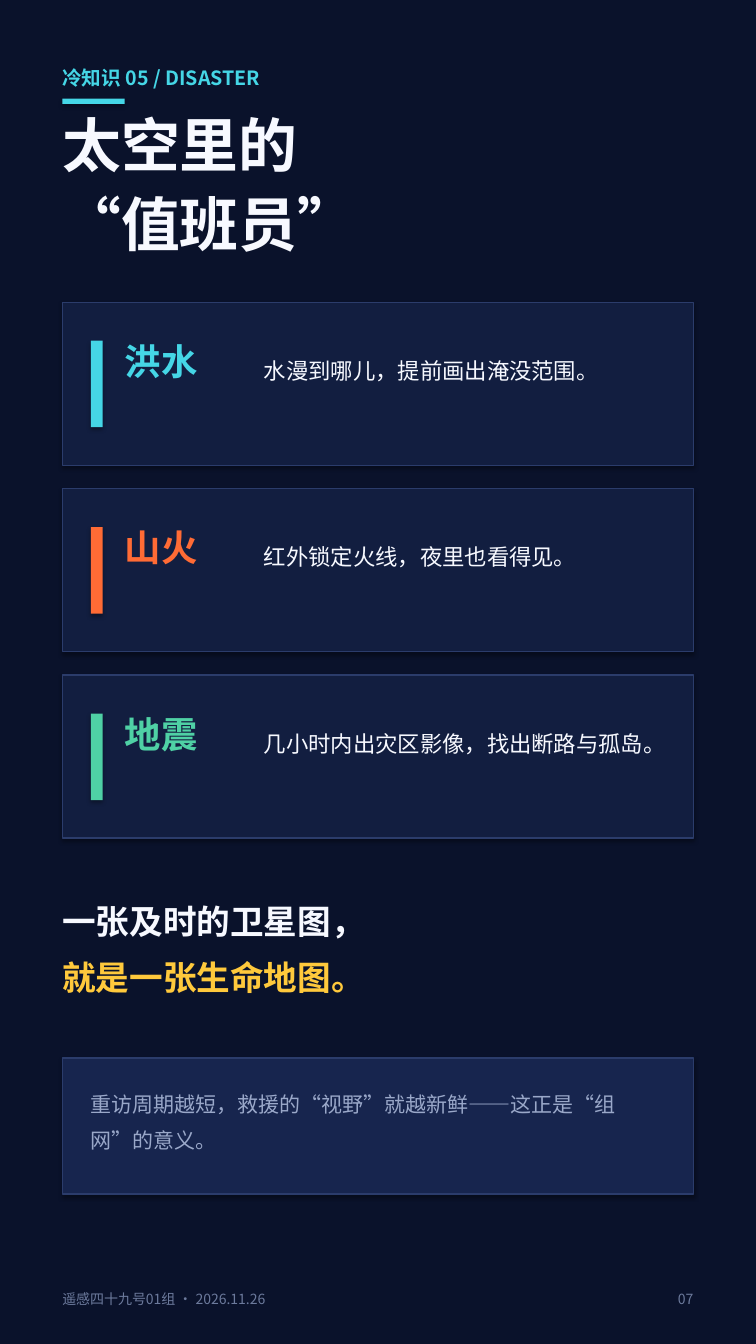
from lxml.etree import SubElement
from pptx import Presentation
from pptx.dml.color import RGBColor
from pptx.enum.shapes import MSO_SHAPE
from pptx.enum.text import MSO_ANCHOR, MSO_AUTO_SIZE, PP_ALIGN
from pptx.oxml.ns import qn
from pptx.util import Cm, Pt

FONT = "Noto Sans CJK SC"
NIGHT = RGBColor(0x0A, 0x12, 0x2B)
CARD = RGBColor(0x12, 0x1E, 0x40)
NOTE = RGBColor(0x17, 0x25, 0x4E)
BORDER = RGBColor(0x2B, 0x3C, 0x6B)
WHITE = RGBColor(0xF7, 0xF9, 0xFF)
CYAN = RGBColor(0x45, 0xD6, 0xE6)
ORANGE = RGBColor(0xFF, 0x6B, 0x35)
GREEN = RGBColor(0x4F, 0xD1, 0xA5)
YELLOW = RGBColor(0xFF, 0xC9, 0x3C)
MUTED = RGBColor(0x9A, 0xA8, 0xC9)
FAINT = RGBColor(0x6C, 0x7A, 0x9C)

LEFT, WIDTH = 1.57, 15.9
INNER_LEFT = 2.29

presentation = Presentation()
presentation.slide_width, presentation.slide_height = Cm(19.05), Cm(33.88)
slide = presentation.slides.add_slide(presentation.slide_layouts[5])
slide.background.fill.solid()
slide.background.fill.fore_color.rgb = NIGHT


def add_text(box, lines, size, bold=False, align=PP_ALIGN.LEFT, shape=None):
    """Write (text, colour, line spacing) lines into shape, or a new text box, at box in cm."""
    left, top, width, height = map(Cm, box)
    if shape is None:
        shape = slide.shapes.add_textbox(left, top, width, height)
    else:
        shape.left, shape.top, shape.width, shape.height = left, top, width, height
    frame = shape.text_frame
    frame.word_wrap = True
    frame.auto_size = MSO_AUTO_SIZE.NONE
    frame.vertical_anchor = MSO_ANCHOR.TOP
    frame.margin_left = frame.margin_top = frame.margin_right = frame.margin_bottom = 0
    frame.text = "\n".join(text for text, _, _ in lines)
    for paragraph, (_, color, spacing) in zip(frame.paragraphs, lines):
        paragraph.alignment = align
        paragraph.line_spacing = spacing
        font = paragraph.font
        font.size, font.bold, font.name = Pt(size), bold, FONT
        font.color.rgb = color
        properties = paragraph._p.pPr.find(qn("a:defRPr"))
        SubElement(properties, qn("a:ea")).set("typeface", FONT)


def add_panel(box, fill, border=None):
    """Draw a rectangle at box in cm with a soft shadow below it."""
    shape = slide.shapes.add_shape(MSO_SHAPE.RECTANGLE, *map(Cm, box))
    shape.fill.solid()
    shape.fill.fore_color.rgb = fill
    if border is None:
        shape.line.fill.background()
    else:
        shape.line.color.rgb = border
        shape.line.width = Pt(1)
    shape.shadow.inherit = False
    effects = shape._element.spPr.find(qn("a:effectLst"))
    shadow = SubElement(effects, qn("a:outerShdw"), blurRad="38100", dist="22860",
                        dir="5400000", rotWithShape="0")
    shadow_color = SubElement(shadow, qn("a:srgbClr"), val="000000")
    SubElement(shadow_color, qn("a:alpha"), val="35000")


# Heading
add_text((LEFT, 1.57, WIDTH, 0.86), [("冷知识 05 / DISASTER", CYAN, 1.15)], 14, bold=True)
add_panel((LEFT, 2.49, 1.57, 0.13), CYAN)
add_text((LEFT, 2.74, WIDTH, 4.83), [("太空里的", WHITE, 1.0), ("“值班员”", WHITE, 1.12)],
         42, bold=True, shape=slide.shapes.title)

# Disaster cards
disasters = [
    ("洪水", "水漫到哪儿，提前画出淹没范围。", CYAN),
    ("山火", "红外锁定火线，夜里也看得见。", ORANGE),
    ("地震", "几小时内出灾区影像，找出断路与孤岛。", GREEN),
]
for index, (name, description, accent) in enumerate(disasters):
    top = 7.62 + index * 4.7
    add_panel((LEFT, top, WIDTH, 4.11), CARD, BORDER)
    add_panel((INNER_LEFT, top + 0.97, 0.3, 2.18), accent)
    add_text((3.15, top + 0.76, 3.43, 2.54), [(name, accent, 1.15)], 26, bold=True)
    add_text((6.65, top + 1.07, 10.16, 2.54), [(description, WHITE, 1.45)], 16)

# Conclusion
add_text((LEFT, 22.3, WIDTH, 4.06),
         [("一张及时的卫星图，", WHITE, 1.4), ("就是一张生命地图。", YELLOW, 1.4)], 24, bold=True)
add_panel((LEFT, 26.67, WIDTH, 3.43), NOTE, BORDER)
add_text((INNER_LEFT, 27.23, 14.48, 2.41),
         [("重访周期越短，救援的“视野”就越新鲜——这正是“组网”的意义。", MUTED, 1.45)], 15)

# Footer
add_text((LEFT, 32.46, 13.21, 0.76), [("遥感四十九号01组 · 2026.11.26", FAINT, 1.15)], 10)
add_text((16, 32.46, 1.47, 0.76), [("07", FAINT, 1.15)], 10, align=PP_ALIGN.RIGHT)

presentation.save("out.pptx")
